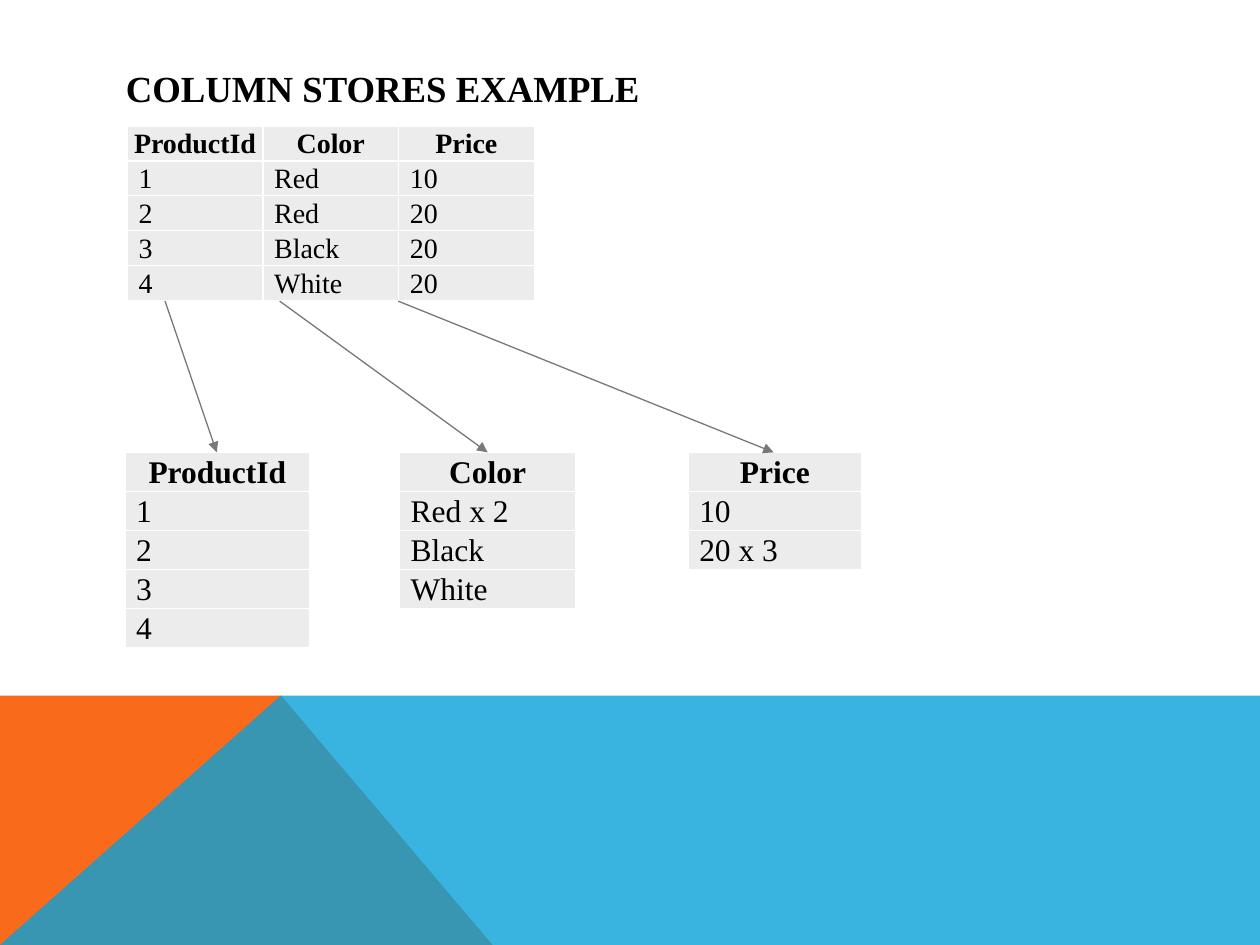
from dataclasses import dataclass

from lxml import etree
from pptx import Presentation
from pptx import util as u
from pptx.dml.color import RGBColor
from pptx.enum import shapes, text
from pptx.oxml.ns import qn

# Grid of 100 columns by 75 rows, with square units
WIDE, HIGH = u.Inches(10), u.Inches(7.5)
UNIT = WIDE // 100
FONT = "Times New Roman"
INK, CELL, RULE, ARROW = "000000", "ECECEC", "FFFFFF", "76787B"
ORANGE, BLUE = "F96A1B", "08A1D9"


@dataclass
class Grid:
    left: float
    top: float
    col: float  # width of each column
    row: float  # least height of each row
    high: float
    size: int
    data: list[list[str]]


@dataclass
class Arrow:
    start: float
    end: float


TOP, SPLIT, LOW = 10, 23.9, 35.9
GRIDS = [
    Grid(10.1, TOP, 10.77, 2.1, 13.9, 16, [
        ["ProductId", "Color", "Price"],
        ["1", "Red", "10"],
        ["2", "Red", "20"],
        ["3", "Black", "20"],
        ["4", "White", "20"],
    ]),
    Grid(9.9, LOW, 14.7, 2.6, 15.5, 18, [["ProductId"], ["1"], ["2"], ["3"], ["4"]]),
    Grid(31.7, LOW, 14, 2.6, 12.4, 18, [["Color"], ["Red x 2"], ["Black"], ["White"]]),
    Grid(54.6, LOW, 13.8, 2.2, 9.3, 18, [["Price"], ["10"], ["20 x 3"]]),
]
ARROWS = [Arrow(13.1, 17.2), Arrow(22.2, 38.7), Arrow(31.6, 61.4)]

# Corner points of the footer bands
EDGE, PEAK, FOOT = 55.2, 22.3, 39.1
BANDS = [
    (ORANGE, 100, [(0, 75), (0, EDGE), (PEAK, EDGE), (FOOT, 75)]),
    (BLUE, 80, [(0, 75), (PEAK, EDGE), (100, EDGE), (100, 75)]),
]


def span(n: float) -> int:
    return round(n * UNIT)


def hue(code: str) -> RGBColor:
    return RGBColor.from_string(code)


def style(para, size: int, bold: bool) -> None:
    font = para.font
    font.name, font.size, font.bold = FONT, u.Pt(size), bold
    font.color.rgb = hue(INK)


def band(slide, code: str, alpha: int, points: list) -> None:
    first, *rest = [(span(x), span(y)) for x, y in points]
    build = slide.shapes.build_freeform(*first)
    build.add_line_segments(rest, close=True)
    shape = build.convert_to_shape()
    shape.shadow.inherit = False
    shape.line.fill.background()
    shape.fill.solid()
    shape.fill.fore_color.rgb = hue(code)
    if alpha < 100:
        tint = shape.fill._xPr.find(".//" + qn("a:srgbClr"))
        etree.SubElement(tint, qn("a:alpha"), val=str(alpha * 1000))


def border(cell) -> None:
    props = cell._tc.get_or_add_tcPr()
    for side in ("lnL", "lnR", "lnT", "lnB"):
        line = etree.SubElement(props, qn("a:" + side), w=str(u.Pt(1)))
        fill = etree.SubElement(line, qn("a:solidFill"))
        etree.SubElement(fill, qn("a:srgbClr"), val=RULE)


def table(slide, grid: Grid) -> None:
    rows, cols = len(grid.data), len(grid.data[0])
    frame = slide.shapes.add_table(
        rows, cols, span(grid.left), span(grid.top),
        span(grid.col * cols), span(grid.high))
    for row in frame.table.rows:
        row.height = span(grid.row)
    frame.height = span(grid.high)
    for r, line in enumerate(grid.data):
        for c, word in enumerate(line):
            head = r == 0
            cell = frame.table.cell(r, c)
            cell.text = word
            cell.vertical_anchor = text.MSO_ANCHOR.MIDDLE
            cell.margin_left = span(0.1 if head else 0.9)
            cell.margin_top = cell.margin_right = span(0.1)
            cell.margin_bottom = 0
            border(cell)
            cell.fill.solid()
            cell.fill.fore_color.rgb = hue(CELL)
            para = cell.text_frame.paragraphs[0]
            para.alignment = text.PP_ALIGN.CENTER if head else text.PP_ALIGN.LEFT
            style(para, grid.size, head)


def arrow(slide, item: Arrow) -> None:
    link = slide.shapes.add_connector(
        shapes.MSO_CONNECTOR.STRAIGHT,
        span(item.start), span(SPLIT), span(item.end), span(LOW))
    link.line.color.rgb = hue(ARROW)
    link.line.width = u.Pt(0.75)
    etree.SubElement(link.line._get_or_add_ln(), qn("a:tailEnd"), type="triangle")
    etree.SubElement(link._element.spPr, qn("a:effectLst"))


def title(slide, words: str) -> None:
    box = slide.shapes.add_textbox(span(9), span(4), span(82.2), span(6))
    frame = box.text_frame
    frame.word_wrap = True
    frame.vertical_anchor = text.MSO_ANCHOR.MIDDLE
    frame.text = words
    style(frame.paragraphs[0], 21, True)


def main() -> None:
    deck = Presentation()
    deck.slide_width, deck.slide_height = WIDE, HIGH
    slide = deck.slides.add_slide(deck.slide_layouts[6])
    # Footer bands, then heading
    for item in BANDS:
        band(slide, *item)
    title(slide, "COLUMN STORES EXAMPLE")
    # Row table, its column tables and the links between them
    for grid in GRIDS:
        table(slide, grid)
    for item in ARROWS:
        arrow(slide, item)
    deck.save("out.pptx")


if __name__ == "__main__":
    main()
